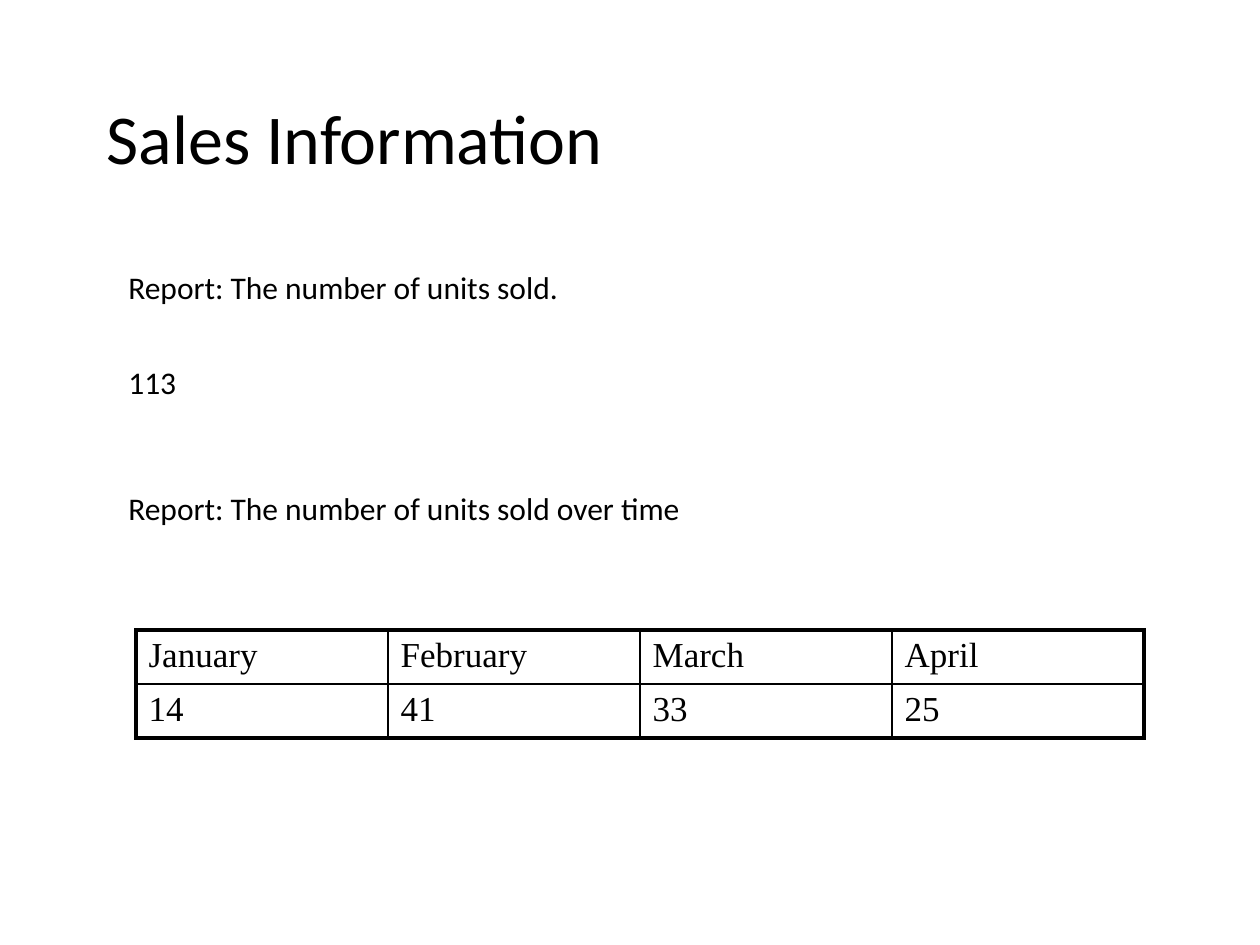
from dataclasses import dataclass

from lxml.etree import SubElement
from pptx import Presentation
from pptx.dml.color import RGBColor
from pptx.enum.text import MSO_ANCHOR, MSO_AUTO_SIZE, PP_ALIGN
from pptx.oxml.ns import qn
from pptx.util import Emu, Pt


@dataclass(frozen=True)
class Theme:
    ink: str = "000000"
    sans: str = "Calibri"
    serif: str = "Times New Roman"
    title_size: int = 40
    report_size: int = 18
    cell_size: int = 20
    outer_line: float = 2.25
    inner_line: float = 1


THEME = Theme()
EMU_PER_PX = 914400 / 126

SALES = [
    ["January", "February", "March", "April"],
    ["14", "41", "33", "25"],
]


def px(length):
    return Emu(round(length * EMU_PER_PX))


def format_text(para, font_name, size):
    para.alignment = PP_ALIGN.LEFT
    for span in para.runs:
        span.font.name = font_name
        span.font.size = Pt(size)
        span.font.bold = False
        span.font.color.rgb = RGBColor.from_string(THEME.ink)


def add_title(page, text, box):
    title = page.shapes.title
    title.left, title.top, title.width, title.height = map(px, box)
    frame = title.text_frame
    frame.text = text
    frame.vertical_anchor = MSO_ANCHOR.MIDDLE
    frame.paragraphs[0].line_spacing = 0.9
    format_text(frame.paragraphs[0], THEME.sans, THEME.title_size)


def add_report_line(page, text, box):
    frame = page.shapes.add_textbox(*map(px, box)).text_frame
    frame.text = text
    frame.word_wrap = False
    frame.auto_size = MSO_AUTO_SIZE.SHAPE_TO_FIT_TEXT
    format_text(frame.paragraphs[0], THEME.sans, THEME.report_size)


def set_borders(cell, outer_sides):
    """Draw all four sides, heavier where the cell meets the table's edge."""
    properties = cell._tc.get_or_add_tcPr()
    for side in "LRTB":
        width = THEME.outer_line if side in outer_sides else THEME.inner_line
        line = SubElement(properties, qn(f"a:ln{side}"), w=str(Pt(width)))
        fill = SubElement(line, qn("a:solidFill"))
        SubElement(fill, qn("a:srgbClr"), val=THEME.ink)


def add_sales_table(page, rows, box):
    left, top, width, height = box
    last_row, last_column = len(rows) - 1, len(rows[0]) - 1
    table = page.shapes.add_table(len(rows), len(rows[0]), *map(px, box)).table
    table.first_row = table.horz_banding = False
    for column in table.columns:
        column.width = px(width // len(rows[0]))
    for row in table.rows:
        row.height = px(height // len(rows))

    for row_index, values in enumerate(rows):
        for column_index, value in enumerate(values):
            cell = table.cell(row_index, column_index)
            cell.text_frame.text = value
            format_text(cell.text_frame.paragraphs[0], THEME.serif, THEME.cell_size)
            edges = {"L": column_index == 0, "R": column_index == last_column,
                     "T": row_index == 0, "B": row_index == last_row}
            set_borders(cell, [side for side, outer in edges.items() if outer])
            cell.fill.background()


def main():
    deck = Presentation()
    deck.slide_width, deck.slide_height = px(1260), px(945)
    page = deck.slides.add_slide(deck.slide_layouts[5])

    # Title
    add_title(page, "Sales Information", (94, 84, 1071, 116))

    # Monthly units
    add_sales_table(page, SALES, (136, 630, 1008, 108))

    # Report headings and total
    add_report_line(page, "Report: The number of units sold.", (116, 262, 595, 63))
    add_report_line(page, "113", (116, 357, 88, 63))
    add_report_line(page, "Report: The number of units sold over time", (116, 483, 753, 63))

    deck.save("out.pptx")


if __name__ == "__main__":
    main()
